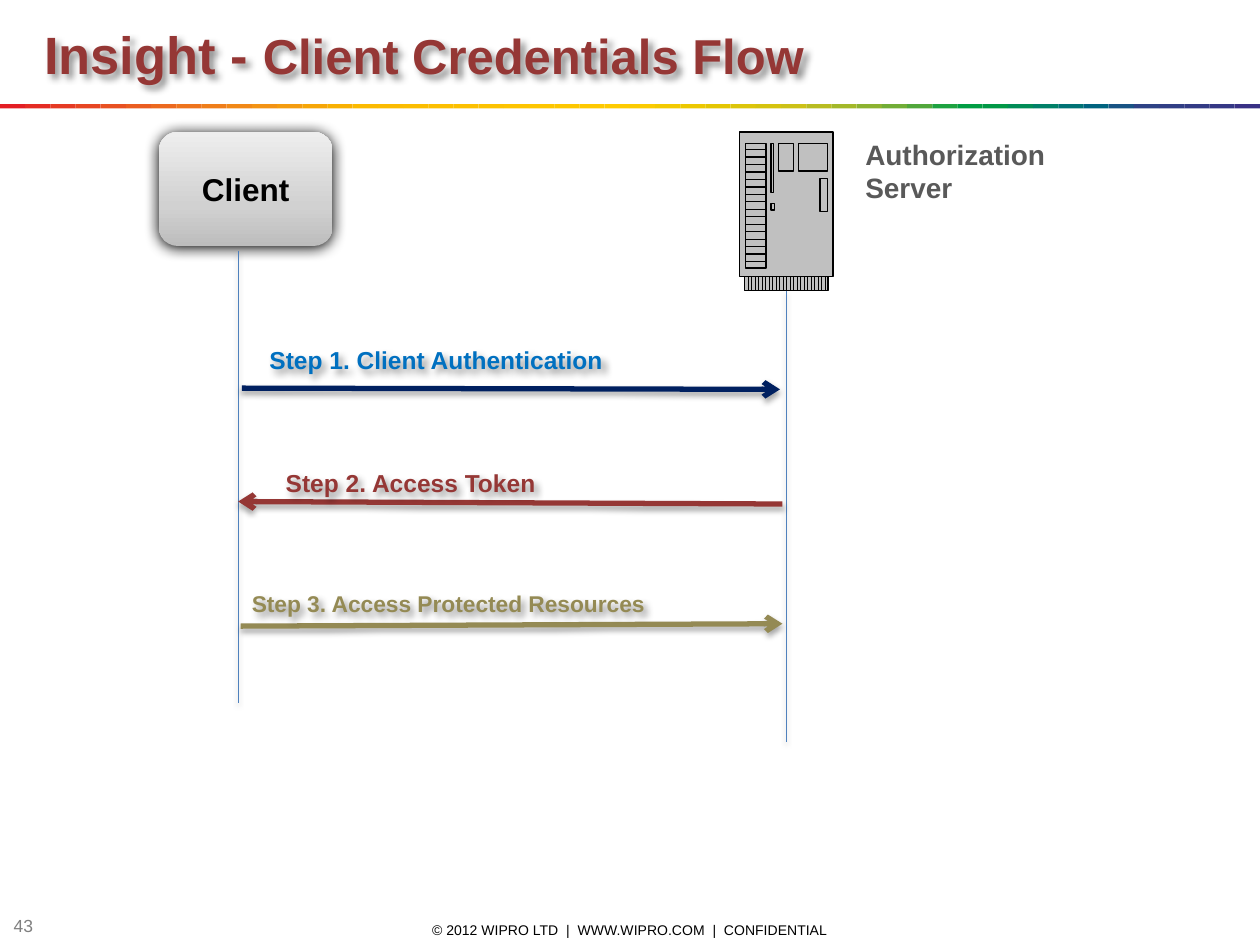
from copy import deepcopy

from lxml import etree
from pptx import Presentation
from pptx.dml.color import RGBColor
from pptx.enum.shapes import MSO_CONNECTOR, MSO_SHAPE
from pptx.enum.text import MSO_ANCHOR, MSO_AUTO_SIZE, PP_ALIGN
from pptx.oxml.ns import qn
from pptx.util import Pt

STRAIGHT = MSO_CONNECTOR.STRAIGHT
RECTANGLE, ROUNDED = MSO_SHAPE.RECTANGLE, MSO_SHAPE.ROUNDED_RECTANGLE
TOP, MIDDLE = MSO_ANCHOR.TOP, MSO_ANCHOR.MIDDLE
NO_AUTOFIT = MSO_AUTO_SIZE.NONE
LEFT, CENTER = PP_ALIGN.LEFT, PP_ALIGN.CENTER

SPECTRUM = """
E31E24 E42C24 E53A24 E74623 E85122 EA5D21 EC691F EE741D EF7E1A F18817
F39314 F49C0F F6A607 F8B002 FBBA00 FBBB00 FBBD00 FCBF00 FCC000 FCC200
FDC400 FDC600 FDC700 FEC900 FECB00 FBCB00 F3CA00 ECC800 E4C602 DCC50A
D5C30E CCC117 B8BC21 A3B829 8CB230 71AD36 51A73B 1DA240 009D43 009846
008C57 008068 007275 00637F 185384 2E4285 313E85 333B85 353885 393185
""".split()


def color(value):
    """Turn a hex string into a colour."""
    return RGBColor.from_string(value)


def points(*values):
    """Turn numbers into lengths in points."""
    return [Pt(value) for value in values]


def add_shadow(shape, opacity, blur, distance, angle=90):
    """Give a shape a soft black outer shadow."""
    properties = shape._element.spPr
    effects = etree.SubElement(properties, qn("a:effectLst"))
    shadow = etree.SubElement(
        effects, qn("a:outerShdw"), blurRad=str(Pt(blur)), dist=str(Pt(distance)),
        dir=str(angle * 60000), algn="ctr", rotWithShape="0")
    black = etree.SubElement(shadow, qn("a:srgbClr"), val="000000")
    etree.SubElement(black, qn("a:alpha"), val=str(opacity * 1000))


def format_paragraph(paragraph, size, hex_color, bold=True, alignment=LEFT):
    """Set the alignment and font of a paragraph."""
    paragraph.alignment = alignment
    font = paragraph.font
    font.name, font.size, font.bold = "Arial", Pt(size), bold
    font.color.rgb = color(hex_color)


def add_label(slide, box, text, size, hex_color, bold=True, alignment=LEFT, anchor=TOP):
    """Add a text box with one paragraph."""
    label = slide.shapes.add_textbox(*points(*box))
    frame = label.text_frame
    frame.word_wrap, frame.vertical_anchor = True, anchor
    paragraph = frame.paragraphs[0]
    paragraph.text = text
    format_paragraph(paragraph, size, hex_color, bold, alignment)
    return label


def add_line(slide, start, end, hex_color, width, arrow=False):
    """Add a shadowed line, with an arrowhead at its end if wanted."""
    line = slide.shapes.add_connector(STRAIGHT, *points(*start, *end))
    line.line.color.rgb, line.line.width = color(hex_color), Pt(width)
    if arrow:
        etree.SubElement(line.line._get_or_add_ln(), qn("a:tailEnd"), type="arrow")
    add_shadow(line, 35, 3.1, 1.8)


def add_title(slide, box):
    """Fill the title placeholder with two sizes of text."""
    title = slide.shapes.title
    title.left, title.top, title.width, title.height = points(*box)
    frame = title.text_frame
    frame.auto_size, frame.vertical_anchor = NO_AUTOFIT, MIDDLE
    paragraph = frame.paragraphs[0]
    for text, size in (("Insight - ", 30), ("Client Credentials Flow", 28)):
        run = paragraph.add_run()
        run.text, run.font.size = text, Pt(size)
    format_paragraph(paragraph, 30, "953735")
    add_shadow(title, 43, 4, 3, 45)


def add_spectrum(slide, box):
    """Draw a band of equal colour tiles across the box."""
    left, top, width, height = box
    step = width / len(SPECTRUM)
    for index, hex_color in enumerate(SPECTRUM):
        tile = slide.shapes.add_shape(
            RECTANGLE, *points(left + index * step, top, step, height))
        tile.shadow.inherit = False
        tile.fill.solid()
        tile.fill.fore_color.rgb = color(hex_color)
        tile.line.fill.background()


def add_client(slide, box):
    """Draw the client as a grey rounded box."""
    client = slide.shapes.add_shape(ROUNDED, *points(*box))
    client.line.fill.background()
    fill = client.fill
    fill.gradient()
    fill.gradient_angle = 90
    first = next(client._element.spPr.iter(qn("a:gs")))
    first.addnext(deepcopy(first))
    stops = ((0, "BDBDBD"), (0.35, "D1D1D1"), (1, "EEEEEE"))
    for stop, (position, hex_color) in zip(fill.gradient_stops, stops):
        stop.position, stop.color.rgb = position, color(hex_color)
    add_shadow(client, 100, 8.5, 1)
    frame = client.text_frame
    frame.vertical_anchor = MIDDLE
    frame.paragraphs[0].text = "Client"
    format_paragraph(frame.paragraphs[0], 18, "000000", alignment=CENTER)


def add_outline(slide, left, top, contours):
    """Build one black-lined freeform from contours relative to a corner."""
    builder = None
    for contour in contours:
        start, *others = [points(left + x, top + y) for x, y in contour]
        if builder is None:
            builder = slide.shapes.build_freeform(*start)
        else:
            builder.move_to(*start)
        builder.add_line_segments(others, close=False)
    outline = builder.convert_to_shape()
    outline.shadow.inherit = False
    outline.line.color.rgb, outline.line.width = color("000000"), Pt(0.75)
    return outline


def add_server(slide, box):
    """Draw the server cabinet with its slots, panels and pins."""
    left, top, width, height = box
    floor, inset = 82.8, 2.8
    cabinet = add_outline(slide, left, top, [[
        (0, 0), (width, 0), (width, floor), (width - inset, floor),
        (width - inset, height), (inset, height), (inset, floor), (0, floor), (0, 0)]])
    cabinet.fill.solid()
    cabinet.fill.fore_color.rgb = color("C0C0C0")
    panels = ((3.6, 6.5, 15.1, 77.8), (18, 6.5, 19.4, 34.6), (18, 41, 20.2, 44.6),
              (22.3, 6.5, 31, 22.3), (33.8, 6.5, 50.4, 22.3), (46.1, 26.6, 50.4, 45.4))
    details = [[(x1, y1), (x2, y1), (x2, y2), (x1, y2), (x1, y1)]
               for x1, y1, x2, y2 in panels]
    details += [[(3.6, 10.1 + 4.27 * row), (15.1, 10.1 + 4.27 * row)] for row in range(16)]
    details += [[(5 + 2 * pin, floor), (5 + 2 * pin, height)] for pin in range(23)]
    details.append([(inset, floor), (width - inset, floor)])
    add_outline(slide, left, top, details).fill.background()


def add_step(slide, start, end, arrow_color, box, text, size, text_color):
    """Draw one message arrow with its caption."""
    add_line(slide, start, end, arrow_color, 3, arrow=True)
    caption = add_label(slide, box, text, size, text_color)
    add_shadow(caption, 43, 4, 3, 45)


def build_slide(presentation):
    """Compose the sequence diagram slide."""
    slide = presentation.slides.add_slide(presentation.slide_layouts[5])
    add_label(slide, (237.6, 524.2, 244.8, 14.4),
              "© 2012 WIPRO LTD  |  WWW.WIPRO.COM  |  CONFIDENTIAL",
              8, "000000", False, CENTER, MIDDLE)
    add_label(slide, (0.7, 523.4, 28.1, 11.5), "43", 10, "808080", False, anchor=MIDDLE)
    add_spectrum(slide, (0, 59.5, 720, 2.4))
    add_title(slide, (18, 8.6, 603.4, 43.9))
    add_client(slide, (90.7, 75.4, 99.4, 65.2))
    add_server(slide, (422.6, 75.4, 53.4, 90.7))
    add_label(slide, (487.4, 74.9, 123.1, 46.1), "Authorization Server", 16, "595959")
    for x, top, bottom in ((136.1, 143.3, 401.8), (449.3, 166.3, 424.1)):
        add_line(slide, (x, top), (x, bottom), "4F81BD", 0.25)
    add_step(slide, (138.2, 221.8), (445.7, 222.5), "002060",
             (146.9, 193.7, 370, 24.5), "Step 1. Client Authentication", 14, "0070C0")
    add_step(slide, (447.1, 288), (136.1, 286.6), "953735",
             (156.2, 264.2, 350.6, 24.5), "Step 2. Access Token", 14, "953735")
    add_step(slide, (137.5, 357.8), (447.1, 356.4), "948A54",
             (136.8, 333.4, 370, 23), "Step 3. Access Protected Resources", 13, "948A54")


def main():
    """Build and save the presentation."""
    presentation = Presentation()
    presentation.slide_width, presentation.slide_height = points(720, 540)
    build_slide(presentation)
    presentation.save("out.pptx")


if __name__ == "__main__":
    main()
